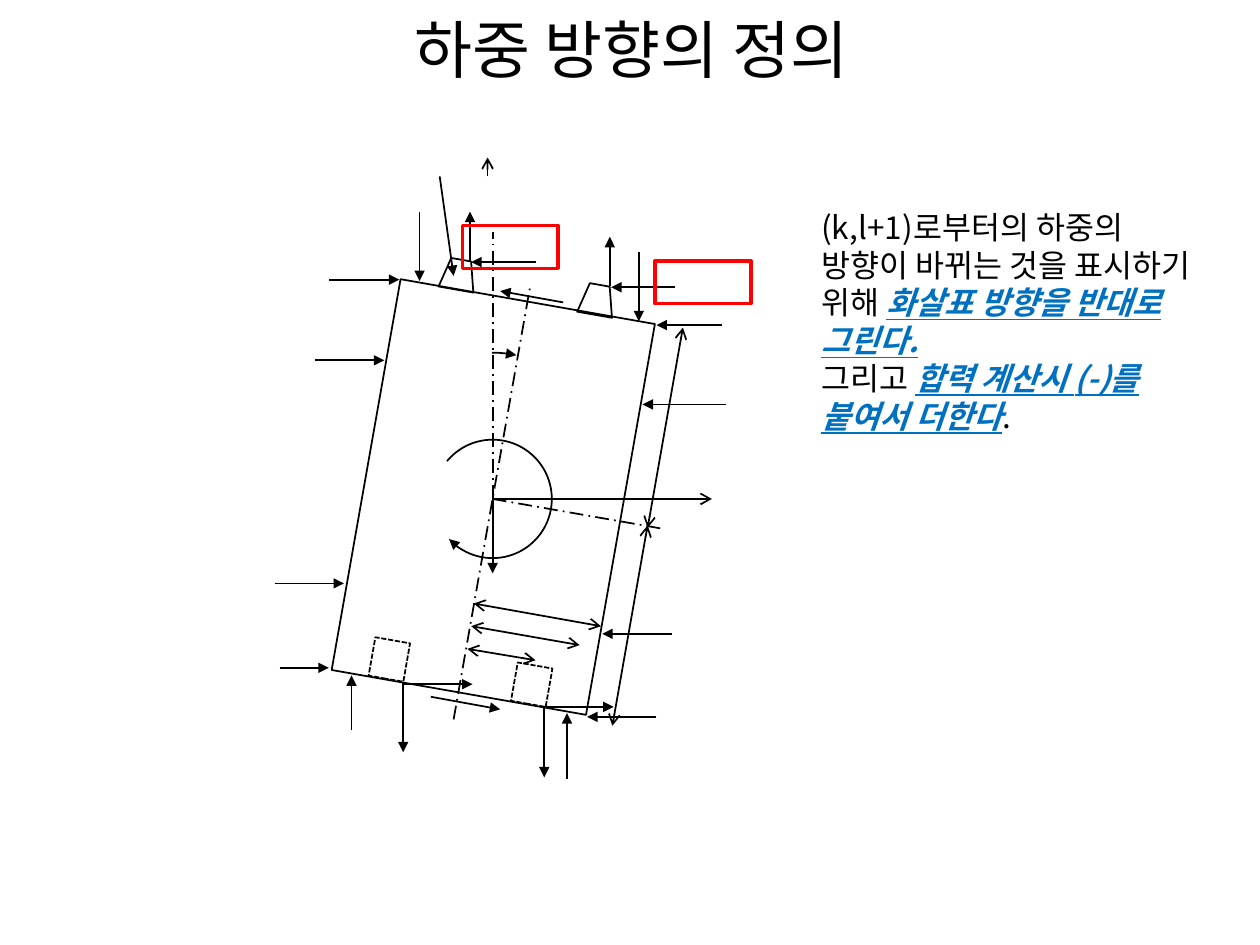
import pptx
import pptx.util
import pptx.dml.color
import pptx.enum.dml
import pptx.enum.shapes
import pptx.enum.text
from lxml import etree
from pptx.oxml.ns import qn

Inches = pptx.util.Inches
Pt = pptx.util.Pt
SHAPES = pptx.enum.shapes.MSO_SHAPE
DASHES = pptx.enum.dml.MSO_LINE
ALIGN = pptx.enum.text.PP_ALIGN
ANCHOR = pptx.enum.text.MSO_ANCHOR

BLACK = pptx.dml.color.RGBColor(0x00, 0x00, 0x00)
RED = pptx.dml.color.RGBColor(0xFF, 0x00, 0x00)
BLUE = pptx.dml.color.RGBColor(0x00, 0x70, 0xC0)
FONT = "Noto Sans CJK KR"
TILT = 10  # degrees the body leans to the right
CENTER = (3.91, 3.96)

PLAIN = {"bold": False, "italic": False, "underline": False, "color": BLACK}
STRONG = {"bold": True, "italic": True, "underline": True, "color": BLUE}


class Diagram:
    def __init__(self, slide):
        self.slide = slide

    def style_line(self, line, color=BLACK, weight=1, dash=None, head=None, tail=None):
        line.color.rgb = color
        line.width = Pt(weight)
        if dash:
            line.dash_style = dash
        for tag, kind in (("a:headEnd", head), ("a:tailEnd", tail)):
            if kind:
                etree.SubElement(line._get_or_add_ln(), qn(tag), type=kind)

    def outline(self, kind, left, top, width, height, rotation=0, **style):
        shape = self.slide.shapes.add_shape(
            kind, Inches(left), Inches(top), Inches(width), Inches(height))
        shape.shadow.inherit = False
        shape.fill.background()
        shape.rotation = rotation
        self.style_line(shape.line, **style)
        return shape

    def arc(self, center, radius, start, end):
        """Draw a clockwise arc between two angles in degrees, arrow at its end."""
        x, y = center
        shape = self.outline(SHAPES.ARC, x - radius, y - radius,
                             2 * radius, 2 * radius, tail="triangle")
        for index, angle in enumerate((start, end)):
            shape.adjustments[index] = angle * 0.6

    def line(self, start, end, **style):
        connector = self.slide.shapes.add_connector(
            pptx.enum.shapes.MSO_CONNECTOR.STRAIGHT,
            *(Inches(value) for value in (*start, *end)))
        self.style_line(connector.line, **style)
        etree.SubElement(connector._element.spPr, qn("a:effectLst"))

    def text(self, left, top, width, height, paragraphs, size,
             align=ALIGN.LEFT, anchor=ANCHOR.TOP):
        box = self.slide.shapes.add_textbox(
            Inches(left), Inches(top), Inches(width), Inches(height))
        frame = box.text_frame
        frame.word_wrap = True
        frame.vertical_anchor = anchor
        for index, runs in enumerate(paragraphs):
            paragraph = frame.paragraphs[0] if index == 0 else frame.add_paragraph()
            paragraph.alignment = align
            paragraph.line_spacing = Pt(size * 1.2)
            for words, formats in runs:
                run = paragraph.add_run()
                run.text = words
                for name, value in {"name": FONT, "size": Pt(size), **formats}.items():
                    if name == "color":
                        run.font.color.rgb = value
                    else:
                        setattr(run.font, name, value)
                etree.SubElement(run.font._element, qn("a:ea"), typeface=FONT)


# Each force runs from its free end to the point where it acts.
FORCES = [
    # right side
    ((5.73, 2.58), (5.21, 2.58)), ((5.76, 3.21), (5.1, 3.21)),
    ((5.33, 5.03), (4.78, 5.03)), ((5.21, 5.69), (4.66, 5.69)),
    # left side
    ((2.22, 5.3), (2.61, 5.3)), ((2.18, 4.63), (2.73, 4.63)),
    ((2.5, 2.86), (3.05, 2.86)), ((2.61, 2.22), (3.17, 2.22)),
    # top
    ((5.36, 2.28), (4.85, 2.28)), ((4.25, 2.08), (3.74, 2.08)),
    ((3.33, 1.68), (3.33, 2.23)), ((4.84, 2.27), (4.84, 1.88)),
    ((3.73, 2.08), (3.73, 1.68)), ((5.07, 2), (5.07, 2.55)),
    ((4.47, 2.4), (3.97, 2.31)), ((3.49, 1.4), (3.6, 2.19)),
    # bottom
    ((3.42, 5.53), (3.97, 5.63)), ((4.32, 5.61), (4.87, 5.61)),
    ((3.2, 5.43), (3.75, 5.43)), ((3.2, 5.42), (3.2, 5.97)),
    ((4.32, 5.62), (4.32, 6.17)), ((2.79, 5.79), (2.79, 5.36)),
    ((4.5, 6.18), (4.5, 5.66)),
    # weight
    (CENTER, (3.91, 4.55)),
]
DIMENSIONS = [
    ((4.77, 4.97), (3.76, 4.79)), ((4.6, 5.12), (3.74, 4.97)),
    ((4.25, 5.24), (3.71, 5.15)),
    ((5.14, 4.17), (4.86, 5.76)), ((5.42, 2.6), (5.14, 4.19)),
]
COORDINATE_AXES = [(CENTER, (5.65, 3.96)), ((3.87, 1.4), (3.87, 1.25))]
CENTER_LINES = [((3.6, 5.71), (4.21, 2.26)), (CENTER, (5.28, 4.2)),
                (CENTER, (3.91, 1.84))]


def main():
    presentation = pptx.Presentation()
    presentation.slide_width = Inches(10)
    presentation.slide_height = Inches(7.5)
    diagram = Diagram(presentation.slides.add_slide(presentation.slide_layouts[6]))

    diagram.text(0.51, 0, 9, 0.76, [[("하중 방향의 정의", PLAIN)]], 36,
                 ALIGN.CENTER, ANCHOR.MIDDLE)

    diagram.outline(SHAPES.RECTANGLE, 2.89, 2.37, 2.05, 3.15, TILT)
    for left, top in ((2.95, 5.08), (4.08, 5.28)):
        diagram.outline(SHAPES.RECTANGLE, left, top, 0.28, 0.31, TILT,
                        dash=DASHES.SQUARE_DOT)
    for left, top in ((3.5, 2.06), (4.6, 2.26)):
        diagram.outline(SHAPES.TRAPEZOID, left, top, 0.28, 0.24, TILT)
    diagram.arc(CENTER, 0.47, 219.66, 137.34)
    diagram.arc((3.91, 3.78), 0.98, 269.69, 281.12)

    for start, end in FORCES:
        diagram.line(start, end, tail="triangle")
    for start, end in DIMENSIONS:
        diagram.line(start, end, head="arrow", tail="arrow")
    for start, end in COORDINATE_AXES:
        diagram.line(start, end, tail="arrow")
    for start, end in CENTER_LINES:
        diagram.line(start, end, dash=DASHES.LONG_DASH_DOT)

    for left, top in ((3.67, 1.79), (5.2, 2.07)):
        diagram.outline(SHAPES.RECTANGLE, left, top, 0.76, 0.34, color=RED, weight=2)

    diagram.text(6.42, 1.6, 3.31, 1.92, [
        [("(k,l+1)로부터의 하중의 방향이 바뀌는 것을 표시하기 위해 ", PLAIN),
         ("화살표 방향을 반대로 그린다.", STRONG)],
        [("그리고 ", PLAIN), ("합력 계산시 (-)를 붙여서 더한다", STRONG),
         (".", PLAIN)],
    ], 18)

    presentation.save("out.pptx")


if __name__ == "__main__":
    main()
